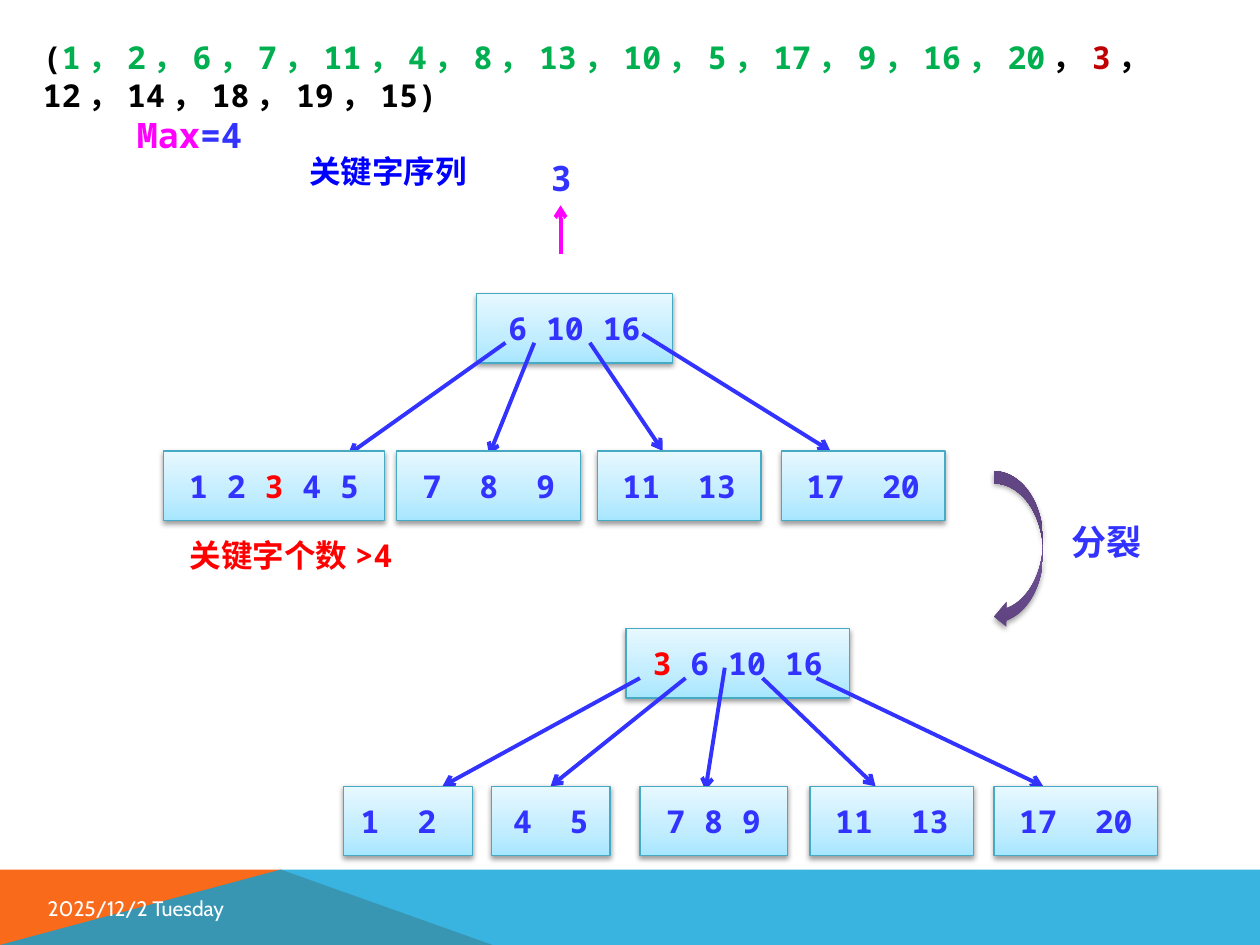
"""Build a slide showing a B-tree node split after key 3 is inserted."""
from dataclasses import dataclass

from lxml.etree import SubElement
from pptx import Presentation
from pptx.dml.color import RGBColor
from pptx.enum.shapes import MSO_CONNECTOR as Link, MSO_SHAPE as Preset
from pptx.enum.text import MSO_ANCHOR as Anchor, MSO_AUTO_SIZE as Fit, PP_ALIGN as Align
from pptx.oxml.ns import qn
from pptx.util import Cm, Pt


@dataclass(frozen=True)
class Theme:
    key_font: str = "Noto Sans Mono"
    date_font: str = "Cabin"
    key_size: int = 18
    label_size: int = 20
    date_size: int = 12
    key: str = "3333FF"
    caption: str = "0000FF"
    new_key: str = "FF0000"
    pending: str = "C00000"
    inserted: str = "00B050"
    accent: str = "FF00FF"
    ink: str = "000000"
    paper: str = "FFFFFF"
    node_line: str = "46AAC5"
    node_stops: tuple = ((0, "A7E6FF"), (35, "C1EDFF"), (100, "E7F8FF"))
    split_stops: tuple = ((0, "5F4480"), (80, "7B58A6"), (100, "7C57A8"))
    band_left: str = "F96A1B"
    band_right: str = "08A1D9"


THEME = Theme()
NODE_HEIGHT = 1.4


def rgb(value):
    return RGBColor.from_string(value)


def write(frame, pieces, size, align=Align.LEFT, font=THEME.key_font, bold=True):
    paragraph = frame.paragraphs[0]
    paragraph.alignment = align
    for words, color in pieces:
        run = paragraph.add_run()
        run.text = words
        run.font.name, run.font.size, run.font.bold = font, Pt(size), bold
        run.font.color.rgb = rgb(color)


def add_label(slide, place, pieces, size=THEME.key_size, align=Align.LEFT):
    frame = slide.shapes.add_textbox(*map(Cm, place)).text_frame
    frame.word_wrap = True
    frame.auto_size = Fit.SHAPE_TO_FIT_TEXT
    write(frame, pieces, size, align)
    return frame


def add_glossy(slide, preset, place, stops, shadow_alpha, shadow_distance):
    shape = slide.shapes.add_shape(preset, *map(Cm, place))
    shape.fill.gradient()
    shape.fill.gradient_angle = 90
    stop_list = shape.element.spPr.find(".//" + qn("a:gsLst"))
    stop_list.clear()
    for position, color in stops:
        stop = SubElement(stop_list, qn("a:gs"), pos=str(position * 1000))
        SubElement(stop, qn("a:srgbClr"), val=color)
    shape.line.fill.background()
    shape.shadow.inherit = False
    effects = shape.element.spPr.find(qn("a:effectLst"))
    shadow = SubElement(effects, qn("a:outerShdw"), blurRad=str(Pt(3.1)),
                        dist=str(Pt(shadow_distance)), dir="5400000", rotWithShape="0")
    shade = SubElement(shadow, qn("a:srgbClr"), val=THEME.ink)
    SubElement(shade, qn("a:alpha"), val=str(shadow_alpha * 1000))
    return shape


def add_node(slide, left, top, width, pieces):
    node = add_glossy(slide, Preset.RECTANGLE, (left, top, width, NODE_HEIGHT),
                      THEME.node_stops, 38, 1.6)
    node.line.color.rgb = rgb(THEME.node_line)
    node.line.width = Pt(0.75)
    node.text_frame.word_wrap = True
    node.text_frame.vertical_anchor = Anchor.MIDDLE
    write(node.text_frame, pieces, THEME.key_size, Align.CENTER)


def add_arrow(slide, start, end, color=THEME.key):
    arrow = slide.shapes.add_connector(Link.STRAIGHT, *map(Cm, (*start, *end)))
    arrow.line.color.rgb = rgb(color)
    arrow.line.width = Pt(2.25)
    SubElement(arrow.line._get_or_add_ln(), qn("a:tailEnd"), type="arrow")
    SubElement(arrow.element.spPr, qn("a:effectLst"))


def add_tree(slide, root, leaf_top, leaves, branches):
    add_node(slide, *root)
    for start, end in branches:
        add_arrow(slide, start, end)
    for left, width, pieces in leaves:
        add_node(slide, left, leaf_top, width, pieces)


def add_band(slide, corners, color, opacity=100):
    points = [(Cm(x), Cm(y)) for x, y in corners]
    outline = slide.shapes.build_freeform(*points[0])
    outline.add_line_segments(points[1:], close=True)
    band = outline.convert_to_shape()
    band.fill.solid()
    band.fill.fore_color.rgb = rgb(color)
    band.line.fill.background()
    band.shadow.inherit = False
    if opacity < 100:
        shade = band.element.spPr.find(".//" + qn("a:srgbClr"))
        SubElement(shade, qn("a:alpha"), val=str(opacity * 1000))


def add_footer(slide):
    top, bottom, peak, right = 17.53, 19.05, 5.66, 25.4
    add_band(slide, [(0, bottom), (0, top), (peak, top), (9.93, bottom)], THEME.band_left)
    add_band(slide, [(0, bottom), (peak, top), (right, top), (right, bottom)],
             THEME.band_right, 80)
    date = slide.shapes.add_textbox(Cm(0.71), Cm(17.93), Cm(4.27), Cm(0.74)).text_frame
    date.word_wrap = True
    date.vertical_anchor = Anchor.MIDDLE
    write(date, [("2025/12/2 Tuesday", THEME.paper)], THEME.date_size,
          font=THEME.date_font, bold=False)


def add_sequence(slide):
    title = slide.shapes.title
    title.left, title.top, title.width, title.height = map(Cm, (0.61, 0.64, 24.51, 1.02))
    title.text_frame.word_wrap = True
    title.text_frame.auto_size = Fit.SHAPE_TO_FIT_TEXT
    title.text_frame.vertical_anchor = Anchor.TOP
    write(title.text_frame, [
        ("(", THEME.ink),
        ("1，2，6，7，11，4，8，13，10，5，17，9，16，20", THEME.inserted),
        ("，", THEME.ink), ("3", THEME.pending),
        ("，12，14，18，19，15)", THEME.ink)], THEME.key_size)


def add_insertion(slide):
    inserted = add_label(slide, (10.72, 3.15, 1.19, 0.86), [("3", THEME.key)],
                         THEME.label_size, Align.CENTER)
    inserted.margin_left = inserted.margin_right = 0
    inserted.margin_top = inserted.margin_bottom = 0
    add_arrow(slide, (11.3, 5.13), (11.3, 4.14), THEME.accent)
    add_label(slide, (4.75, 2.95, 6.15, 1.02), [("关键字序列", THEME.caption)],
              align=Align.CENTER)
    add_label(slide, (2.51, 2.16, 3.76, 1.12),
              [("Max", THEME.accent), ("=4", THEME.key)], THEME.label_size)


def add_split(slide):
    add_glossy(slide, Preset.CURVED_LEFT_ARROW, (20.04, 9.5, 0.99, 3.18),
               THEME.split_stops, 35, 1.8)
    add_label(slide, (21.36, 10.36, 2.18, 1.12), [("分裂", THEME.key)], THEME.label_size)
    add_label(slide, (2.9, 10.69, 5.94, 1.02), [("关键字个数>4", THEME.new_key)],
              align=Align.CENTER)


def main():
    deck = Presentation()
    deck.slide_width, deck.slide_height = Cm(25.4), Cm(19.05)
    slide = deck.slides.add_slide(deck.slide_layouts.get_by_name("Title Only"))
    key, new_key = THEME.key, THEME.new_key
    add_footer(slide)
    add_sequence(slide)
    add_insertion(slide)
    add_split(slide)
    add_tree(
        slide, (9.6, 5.92, 3.96, [("6 10 16", key)]), 9.09,
        [(3.3, 4.45, [("1 2 ", key), ("3 ", new_key), ("4 5", key)]),
         (8, 3.71, [("7  8  9", key)]),
         (12.04, 3.3, [("11  13", key)]),
         (15.75, 3.3, [("17  20", key)])],
        [((10.19, 6.91), (7.01, 9.17)), ((10.77, 6.91), (9.86, 9.17)),
         ((11.89, 6.91), (13.36, 9.09)), ((12.95, 6.73), (16.74, 9.09))])
    add_tree(
        slide, (12.62, 12.67, 4.5, [("3", new_key), (" 6 10 16", key)]), 15.85,
        [(6.93, 2.59, [("1  2 ", key)]),
         (9.91, 2.39, [("4  5", key)]),
         (12.9, 2.97, [("7 8 9", key)]),
         (16.33, 3.3, [("11  13", key)]),
         (20.04, 3.3, [("17  20", key)])],
        [((12.9, 13.67), (8.92, 15.85)), ((13.82, 13.67), (11.1, 15.85)),
         ((14.61, 13.46), (14.22, 15.93)), ((15.37, 13.67), (17.65, 15.85)),
         ((16.46, 13.67), (21.03, 15.85))])
    deck.save("out.pptx")


if __name__ == "__main__":
    main()
